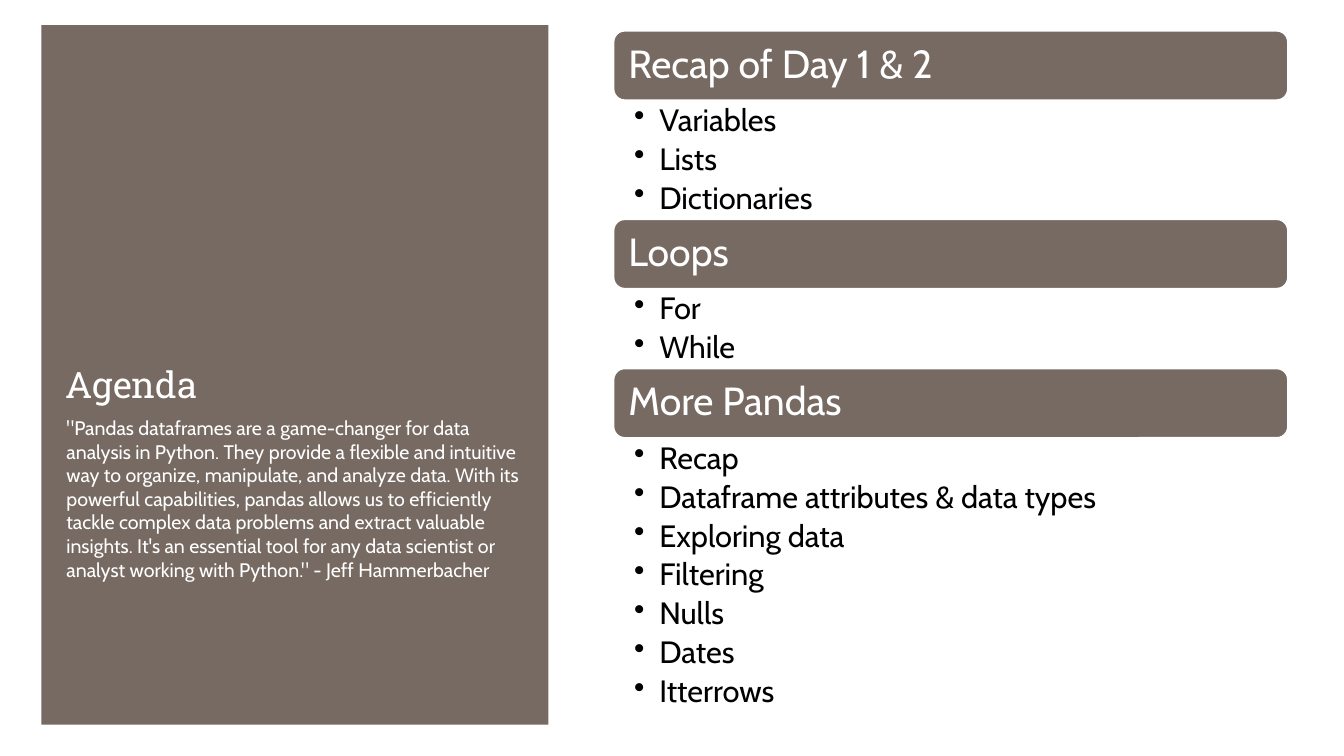
from dataclasses import dataclass

from lxml import etree
from pptx import Presentation
from pptx.dml.color import RGBColor
from pptx.enum import shapes, text
from pptx.oxml import ns
from pptx.util import Inches, Pt

TAUPE = RGBColor(0x76, 0x6A, 0x62)
WHITE = RGBColor(0xFF, 0xFF, 0xFF)
BLACK = RGBColor(0x00, 0x00, 0x00)
BODY_FONT = "Cabin"
TITLE_FONT = "Roboto Slab"

SECTION_LEFT, SECTION_TOP, SECTION_WIDTH = 6.08, 0.3, 6.7
HEADER_HEIGHT, TOPIC_HEIGHT = 0.7, 0.39

QUOTE = (
    "\"Pandas dataframes are a game-changer for data analysis in Python. They provide "
    "a flexible and intuitive way to organize, manipulate, and analyze data. With its "
    "powerful capabilities, pandas allows us to efficiently tackle complex data problems "
    "and extract valuable insights. It's an essential tool for any data scientist or "
    "analyst working with Python.\" - Jeff Hammerbacher"
)


@dataclass(frozen=True)
class Section:
    heading: str
    topics: tuple[str, ...]


SECTIONS = (
    Section("Recap of Day 1 & 2", ("Variables", "Lists", "Dictionaries")),
    Section("Loops", ("For", "While")),
    Section("More Pandas", ("Recap", "Dataframe attributes & data types", "Exploring data",
                            "Filtering", "Nulls", "Dates", "Itterrows")),
)


def add_bullet(p) -> None:
    pPr = p._p.get_or_add_pPr()
    pPr.set("marL", str(Inches(0.25)))
    pPr.set("indent", str(Inches(-0.25)))
    etree.SubElement(pPr, ns.qn("a:buChar")).set("char", "•")


def write_text(sp, *lines: str, size: float, color: RGBColor, font: str = BODY_FONT,
               anchor=text.MSO_ANCHOR.TOP, insets=(0.1, 0.05, 0.1, 0.05),
               spacing: float = 1.0, after: float = 0, bullets: bool = False) -> None:
    """Fill a shape with one paragraph per line; insets run left, top, right, bottom."""
    tf = sp.text_frame
    tf.word_wrap = True
    tf.vertical_anchor = anchor
    tf.margin_left, tf.margin_top, tf.margin_right, tf.margin_bottom = map(Inches, insets)
    for i, line in enumerate(lines):
        p = tf.add_paragraph() if i else tf.paragraphs[0]
        p.alignment = text.PP_ALIGN.LEFT
        p.line_spacing = spacing
        p.space_after = Pt(after)
        if bullets:
            add_bullet(p)
        r = p.add_run()
        r.text = line
        r.font.name = font
        r.font.size = Pt(size)
        r.font.color.rgb = color


def add_box(s, left: float, top: float, width: float, height: float):
    return s.shapes.add_textbox(Inches(left), Inches(top), Inches(width), Inches(height))


def add_panel(s, kind, left: float, top: float, width: float, height: float):
    sp = s.shapes.add_shape(kind, Inches(left), Inches(top), Inches(width), Inches(height))
    sp.shadow.inherit = False
    sp.fill.solid()
    sp.fill.fore_color.rgb = TAUPE
    sp.line.fill.background()
    return sp


def add_section(s, section: Section, top: float) -> float:
    """Draw a heading bar with its topics and return the bottom edge."""
    bar = add_panel(s, shapes.MSO_SHAPE.ROUNDED_RECTANGLE,
                    SECTION_LEFT, top, SECTION_WIDTH, HEADER_HEIGHT)
    bar.line.color.rgb = WHITE
    bar.line.width = Pt(2)
    write_text(bar, section.heading, size=28, color=WHITE, spacing=0.9,
               anchor=text.MSO_ANCHOR.MIDDLE, insets=(0.12, 0.12, 0.12, 0.12))
    top += HEADER_HEIGHT
    height = TOPIC_HEIGHT * len(section.topics)
    box = add_box(s, SECTION_LEFT, top, SECTION_WIDTH, height)
    write_text(box, *section.topics, size=22, color=BLACK, spacing=0.9, after=4.1,
               insets=(0.21, 0.04, 0.22, 0.04), bullets=True)
    return top + height


def main() -> None:
    prs = Presentation()
    prs.slide_width, prs.slide_height = Inches(13.33), Inches(7.5)
    s = prs.slides.add_slide(prs.slide_layouts[6])

    add_panel(s, shapes.MSO_SHAPE.RECTANGLE, 0.41, 0.25, 5.03, 6.94)
    write_text(add_box(s, 0.55, 2.81, 4.75, 1.27), "Agenda", size=26, color=WHITE,
               font=TITLE_FONT, anchor=text.MSO_ANCHOR.BOTTOM)
    write_text(add_box(s, 0.56, 4.08, 4.75, 2.62), QUOTE, size=14, color=WHITE)

    top = SECTION_TOP
    for section in SECTIONS:
        top = add_section(s, section, top)

    prs.save("out.pptx")


if __name__ == "__main__":
    main()
